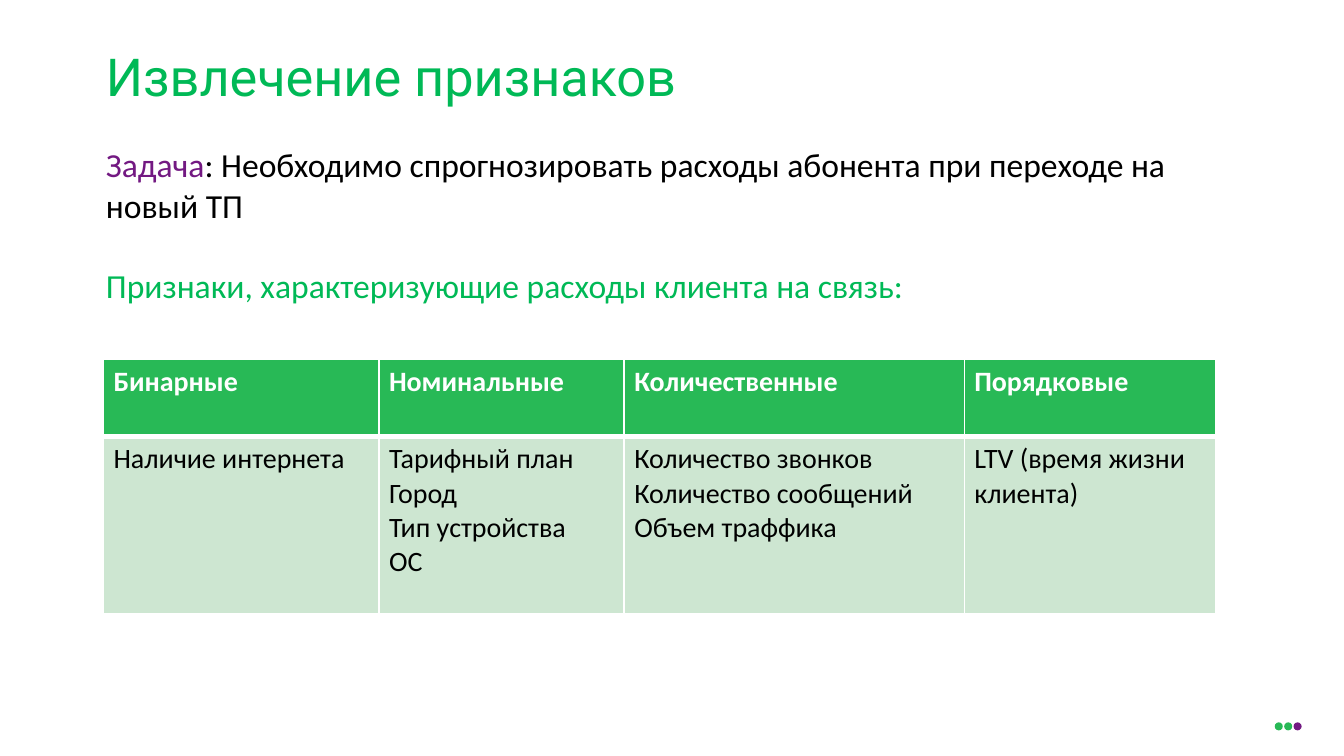
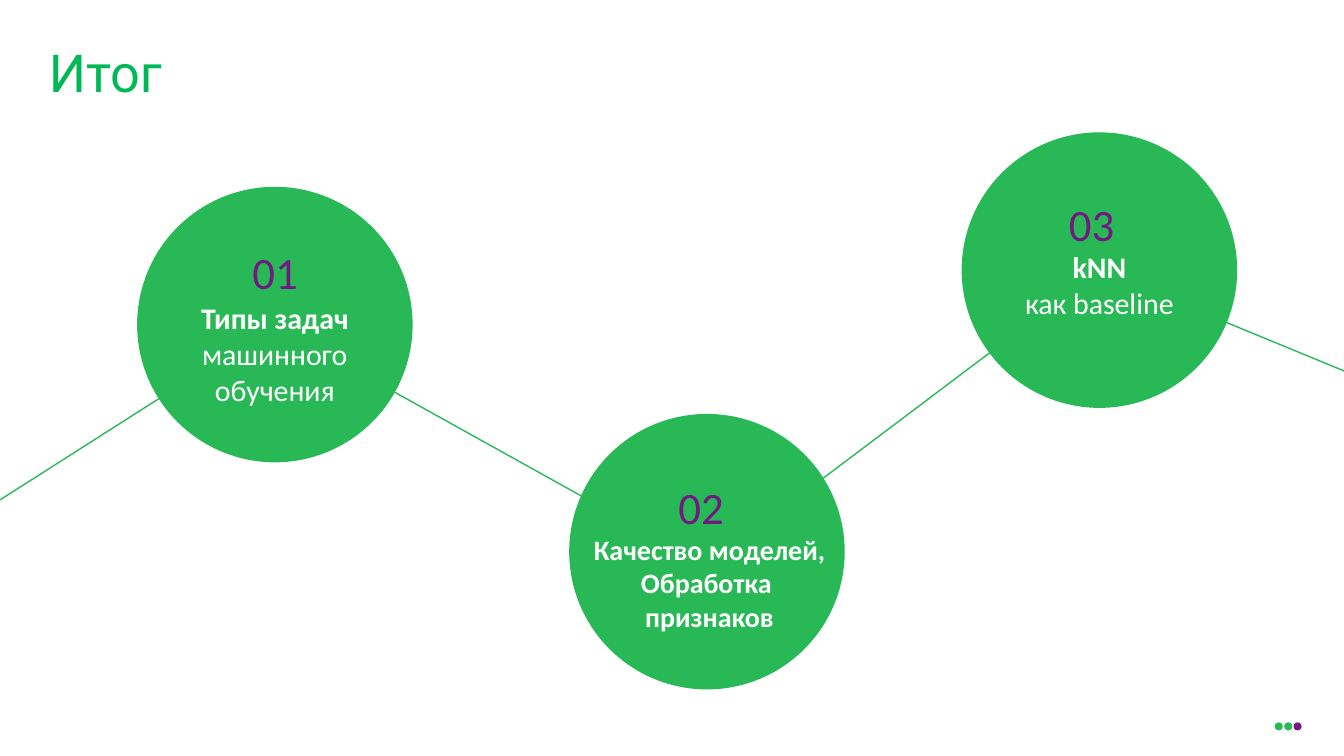
from lxml import etree
from pptx import Presentation
from pptx.dml.color import RGBColor
from pptx.enum.shapes import MSO_CONNECTOR, MSO_SHAPE
from pptx.enum.text import PP_ALIGN
from pptx.oxml.ns import qn
from pptx.util import Emu, Pt

PX = 4572  # 200 px to the inch
LEFT, CENTER = PP_ALIGN.LEFT, PP_ALIGN.CENTER
ELLIPSE, STRAIGHT = MSO_SHAPE.OVAL, MSO_CONNECTOR.STRAIGHT

GREEN, TITLE_GREEN, PALE_GREEN = "28B956", "00B956", "CDE6D1"
PURPLE, BLACK, WHITE = "731982", "000000", "FFFFFF"
BODY_FONT, TITLE_FONT = "Calibri", "Roboto"


def px(n):
    return Emu(n * PX)


def rgb(value):
    return RGBColor.from_string(value)


class Deck:
    def __init__(self, width, height):
        self.prs = Presentation()
        self.prs.slide_width, self.prs.slide_height = px(width), px(height)
        self.s = None

    def slide(self, title, x, y, w):
        self.s = self.prs.slides.add_slide(self.prs.slide_layouts[6])
        for i, color in enumerate((GREEN, GREEN, PURPLE)):
            self.circle(1897 + 14 * i, 1075, 12, color)
        self.text(x, y, w, 114, [[(title, TITLE_GREEN, False)]], 28, font=TITLE_FONT)

    def fill_frame(self, tf, paras, size, align=LEFT, font=BODY_FONT, gap=0):
        """Each paragraph is a list of (text, colour, bold) runs; "\\n" breaks the line."""
        tf.word_wrap = True
        for i, runs in enumerate(paras):
            p = tf.add_paragraph() if i else tf.paragraphs[0]
            p.alignment = align
            if i and gap:
                p.space_before = Pt(gap)
            for text, color, bold in runs:
                if text == "\n":
                    p.add_line_break()
                    continue
                r = p.add_run()
                r.text = text
                r.font.name, r.font.size, r.font.bold = font, Pt(size), bold
                r.font.color.rgb = rgb(color)

    def text(self, x, y, w, h, paras, size, **style):
        sp = self.s.shapes.add_textbox(px(x), px(y), px(w), px(h))
        self.fill_frame(sp.text_frame, paras, size, **style)

    def circle(self, x, y, d, color):
        sp = self.s.shapes.add_shape(ELLIPSE, px(x), px(y), px(d), px(d))
        sp.shadow.inherit = False
        sp.fill.solid()
        sp.fill.fore_color.rgb = rgb(color)
        sp.line.fill.background()

    def line(self, start, end):
        cn = self.s.shapes.add_connector(STRAIGHT, *map(px, start + end))
        cn.line.color.rgb = rgb(GREEN)
        cn.line.width = Pt(0.75)
        etree.SubElement(cn._element.spPr, qn("a:effectLst"))

    def border(self, cell, side, width):
        ln = etree.SubElement(cell._tc.get_or_add_tcPr(), qn("a:ln" + side), w=str(Pt(width)))
        fill = etree.SubElement(ln, qn("a:solidFill"))
        etree.SubElement(fill, qn("a:srgbClr"), val=WHITE)

    def table(self, x, y, cols, rows, cells):
        table = self.s.shapes.add_table(
            len(rows), len(cols), px(x), px(y), px(sum(cols)), px(sum(rows))).table
        for col, w in zip(table.columns, cols):
            col.width = px(w)
        for i, h in enumerate(rows):
            table.rows[i].height = px(h)
            header = i == 0
            for j, lines in enumerate(cells[i]):
                cell = table.cell(i, j)
                cell.margin_left = cell.margin_right = px(15)
                cell.margin_top = cell.margin_bottom = px(8)
                for side in "LRTB":
                    self.border(cell, side, 3 if header and side == "B" else 1)
                cell.fill.solid()
                cell.fill.fore_color.rgb = rgb(GREEN if header else PALE_GREEN)
                color = WHITE if header else BLACK
                self.fill_frame(cell.text_frame, [[(t, color, header)] for t in lines], 15)


def features_slide(deck):
    deck.slide("Извлечение признаков", 138, 56, 932)
    deck.text(138, 205, 1726, 262, [
        [("Задача", PURPLE, False),
         (": Необходимо спрогнозировать расходы абонента при переходе на новый ТП", BLACK, False)],
        [("Признаки, характеризующие расходы клиента на связь:", TITLE_GREEN, False)],
    ], 18, gap=21.5)
    deck.table(154, 535, [410, 365, 506, 375], [115, 264], [
        [["Бинарные"], ["Номинальные"], ["Количественные"], ["Порядковые"]],
        [["Наличие интернета"],
         ["Тарифный план", "Город", "Тип устройства", "ОС"],
         ["Количество звонков", "Количество сообщений", "Объем траффика"],
         ["LTV (время жизни клиента)"]],
    ])


def summary_slide(deck):
    deck.slide("Итог", 53, 50, 1348)

    # Path behind the circles, from edge to edge
    stops = [(0, 744), (408, 484), (1052, 842), (1636, 402), (2000, 552)]
    for start, end in zip(stops, stops[1:]):
        deck.line(start, end)

    # Numbered topics: circle corner, number corner, label box, label size, label
    topics = [
        ((204, 278), (356, 355), (264, 436, 290, 182), 16,
         [[("Типы задач", WHITE, True)],
          [("машинного", WHITE, False)],
          [("обучения", WHITE, False)]]),
        ((847, 616), (990, 704), (842, 782, 428, 172), 15,
         [[(t, WHITE, True)] for t in ("Качество моделей,", "Обработка ", "признаков")]),
        ((1431, 197), (1571, 283), (1491, 360, 290, 128), 16,
         [[("kNN", WHITE, True), ("\n", WHITE, True), ("как baseline", WHITE, False)]]),
    ]
    for i, (corner, number, box, size, label) in enumerate(topics, 1):
        deck.circle(*corner, 410, GREEN)
        deck.text(*box, label, size, align=CENTER)
        deck.text(*number, 168, 100, [[(f"{i:02}", PURPLE, False)]], 24)


def main():
    deck = Deck(2000, 1125)
    features_slide(deck)
    summary_slide(deck)
    deck.prs.save("out.pptx")


if __name__ == "__main__":
    main()
